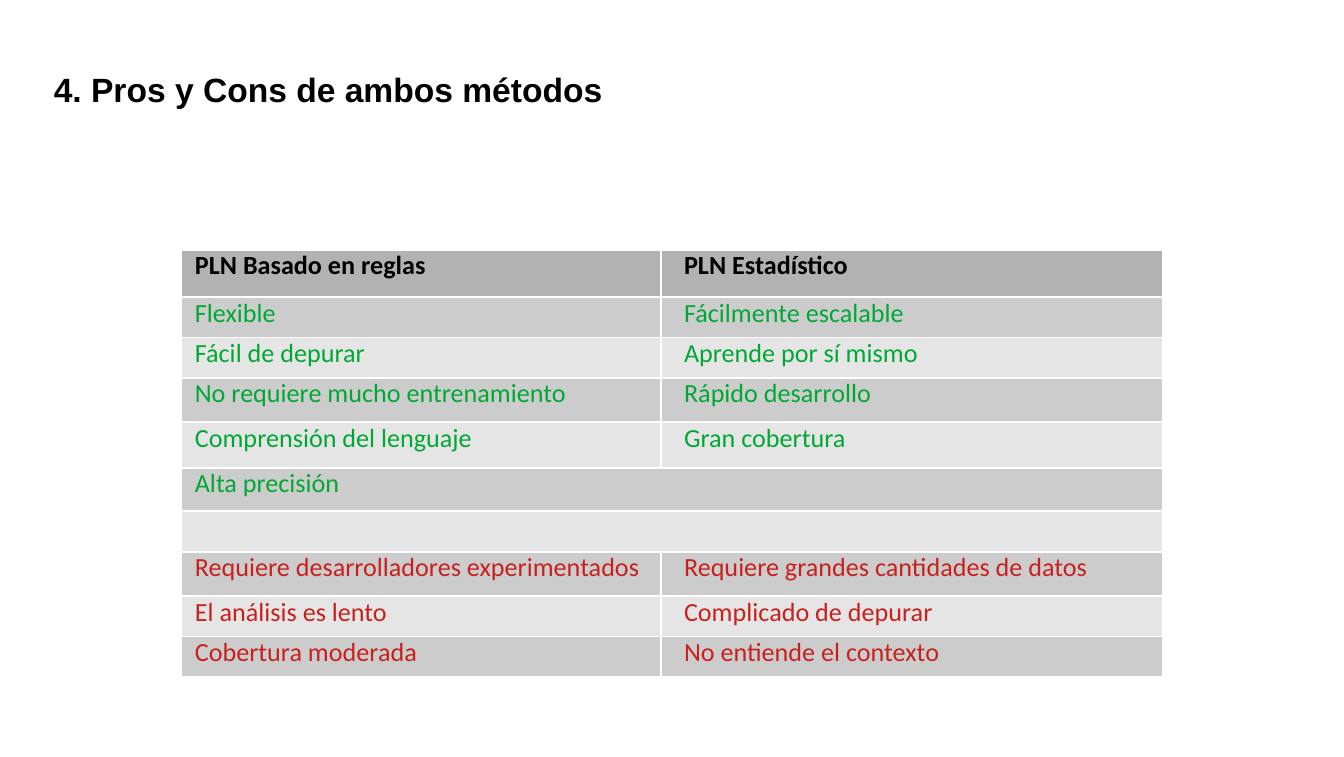
import pptx
import pptx.dml.color
import pptx.enum.text
import pptx.util

Inches = pptx.util.Inches

COLORS = {
    "text": "000000",
    "pro": "00A833",
    "con": "C8201D",
    "header": "B2B2B2",
    "odd": "CCCCCC",
    "even": "E5E5E5",
}
COLUMN_WIDTHS = [3.57, 3.73]
COLUMN_INDENTS = [0.1, 0.17]
# Row height, text color, one text per column (a single text spans both)
ROWS = [
    (0.35, "text", ["PLN Basado en reglas", "PLN Estadístico"]),
    (0.3, "pro", ["Flexible", "Fácilmente escalable"]),
    (0.3, "pro", ["Fácil de depurar", "Aprende por sí mismo"]),
    (0.33, "pro", ["No requiere mucho entrenamiento", "Rápido desarrollo"]),
    (0.34, "pro", ["Comprensión del lenguaje", "Gran cobertura"]),
    (0.32, "pro", ["Alta precisión"]),
    (0.3, "text", [""]),
    (0.33, "con", ["Requiere desarrolladores experimentados",
                   "Requiere grandes cantidades de datos"]),
    (0.3, "con", ["El análisis es lento", "Complicado de depurar"]),
    (0.3, "con", ["Cobertura moderada", "No entiende el contexto"]),
]


def rgb(name):
    return pptx.dml.color.RGBColor.from_string(COLORS[name])


def write_text(text_frame, text, *, font, size, color, bold=False):
    paragraph = text_frame.paragraphs[0]
    paragraph.alignment = pptx.enum.text.PP_ALIGN.LEFT
    run = paragraph.add_run()
    run.text = text
    run.font.name = font
    run.font.size = pptx.util.Pt(size)
    run.font.bold = bold
    run.font.color.rgb = rgb(color)


def add_title(slide, left, top, width, height):
    title = slide.shapes.title
    title.left, title.top = Inches(left), Inches(top)
    title.width, title.height = Inches(width), Inches(height)
    frame = title.text_frame
    frame.margin_left = frame.margin_right = frame.margin_bottom = 0
    frame.margin_top = Inches(0.01)
    frame.vertical_anchor = pptx.enum.text.MSO_ANCHOR.TOP
    frame.word_wrap = True
    write_text(frame, "4. Pros y Cons de ambos métodos",
               font="Arial", size=18, color="text", bold=True)


def add_comparison_table(slide, left, top):
    height = sum(row[0] for row in ROWS)
    table = slide.shapes.add_table(
        len(ROWS), len(COLUMN_WIDTHS), Inches(left), Inches(top),
        Inches(sum(COLUMN_WIDTHS)), Inches(height)).table
    for column, width in zip(table.columns, COLUMN_WIDTHS):
        column.width = Inches(width)

    for index, (row_height, color, texts) in enumerate(ROWS):
        table.rows[index].height = Inches(row_height)
        is_header = index == 0
        fill = "header" if is_header else ("odd" if index % 2 else "even")
        for column, indent in enumerate(COLUMN_INDENTS):
            cell = table.cell(index, column)
            cell.fill.solid()
            cell.fill.fore_color.rgb = rgb(fill)
            cell.margin_left = Inches(indent)
            cell.margin_right = cell.margin_top = cell.margin_bottom = 0
        for column, text in enumerate(texts):
            if text:
                write_text(table.cell(index, column).text_frame, text,
                           font="Calibri", size=14, color=color, bold=is_header)
        if len(texts) == 1:
            table.cell(index, 0).merge(table.cell(index, 1))


def main():
    presentation = pptx.Presentation()
    presentation.slide_width = Inches(10)
    presentation.slide_height = Inches(5.63)
    title_only = presentation.slide_layouts[5]
    slide = presentation.slides.add_slide(title_only)
    add_title(slide, 0.4, 0.5, 4.5, 0.33)
    add_comparison_table(slide, 1.35, 1.86)
    presentation.save("out.pptx")


if __name__ == "__main__":
    main()
